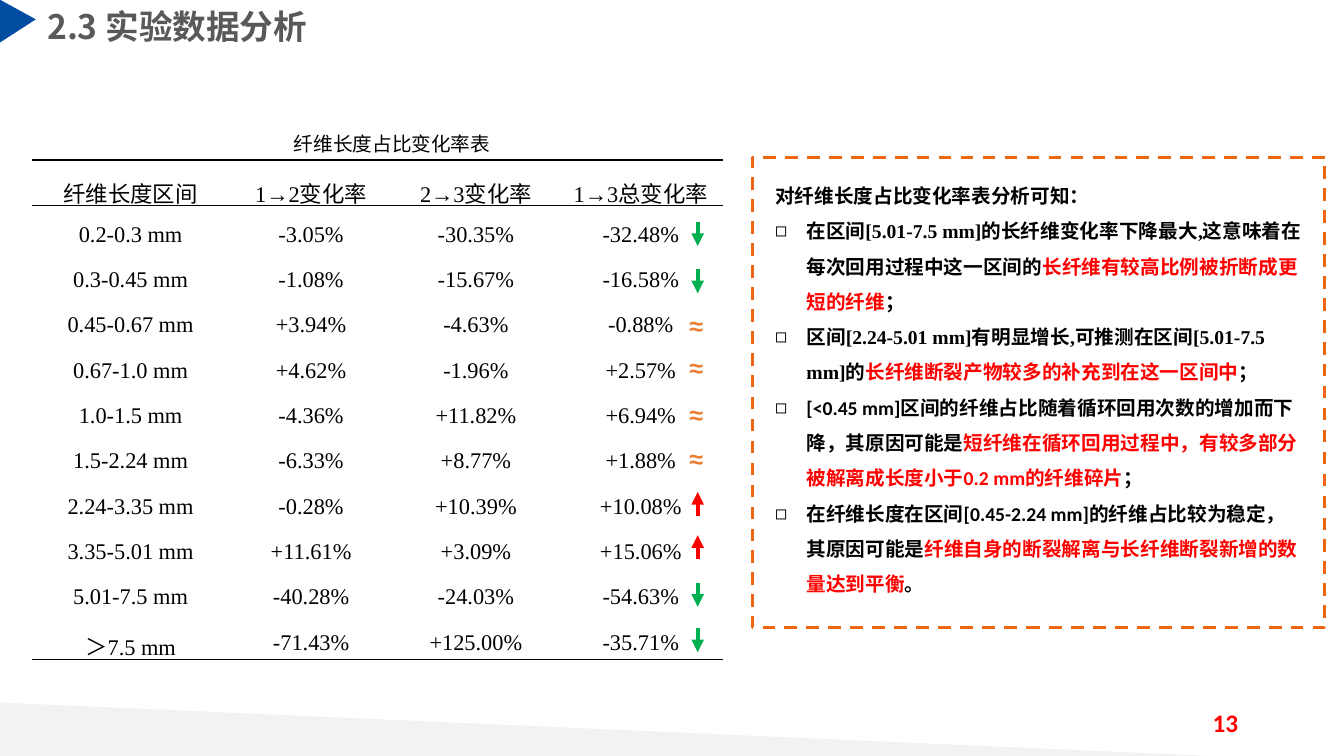
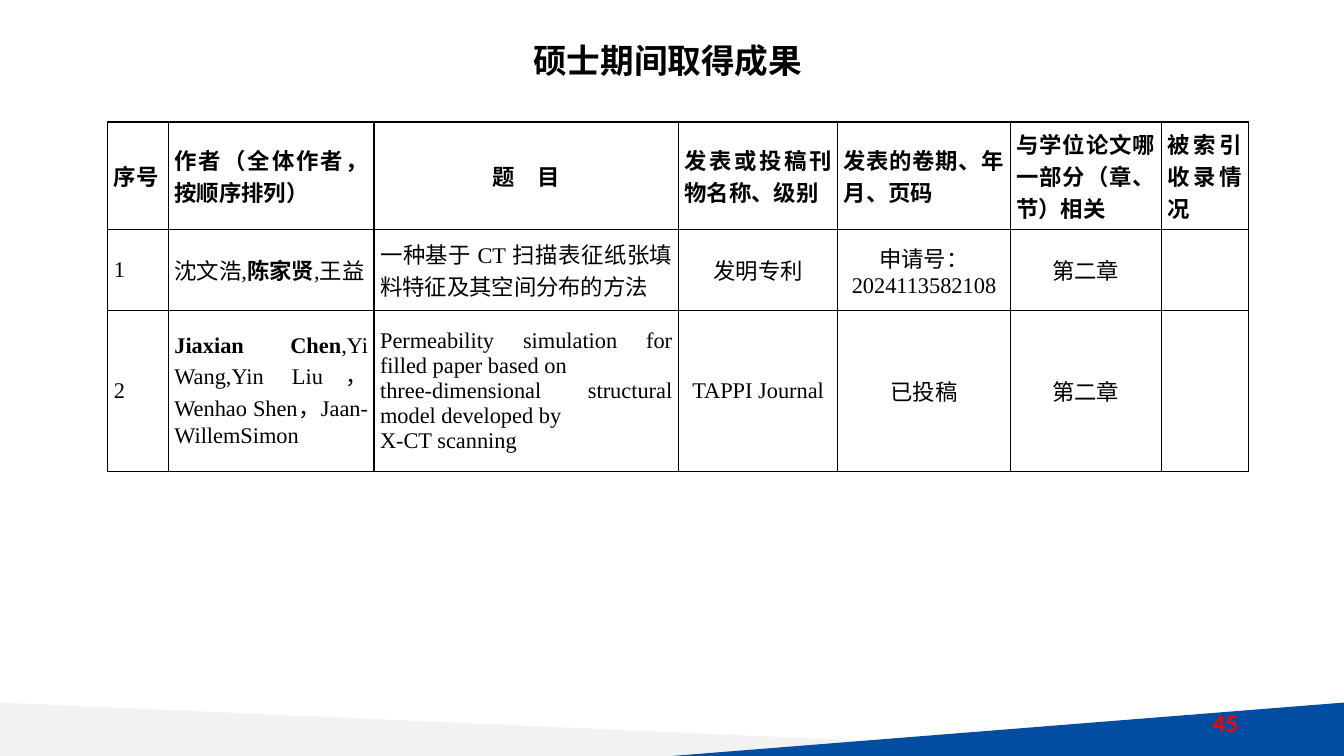
from lxml import etree
from pptx import Presentation
from pptx.dml.color import RGBColor
from pptx.enum.dml import MSO_LINE
from pptx.enum.shapes import MSO_CONNECTOR, MSO_SHAPE
from pptx.enum.text import MSO_ANCHOR, PP_ALIGN
from pptx.oxml.ns import qn
from pptx.util import Pt

PX = 9144  # EMU per px, 100 px to the inch
WIDE, HIGH = 1333, 750

BLACK = RGBColor(0x00, 0x00, 0x00)
INK = RGBColor(0x00, 0x00, 0x08)
GRAY = RGBColor(0x59, 0x59, 0x59)
PALE = RGBColor(0xF2, 0xF2, 0xF2)
BLUE = RGBColor(0x02, 0x4D, 0xA2)
RED = RGBColor(0xFF, 0x00, 0x00)
GREEN = RGBColor(0x00, 0xB0, 0x50)
AMBER = RGBColor(0xED, 0x7D, 0x31)
FRAME = RGBColor(0xED, 0x66, 0x13)

CJK, SERIF, SANS, ARIAL = "Noto Sans CJK SC", "Times New Roman", "Calibri", "Arial"

LEFT, MID = PP_ALIGN.LEFT, PP_ALIGN.CENTER
RIGHT, FULL = PP_ALIGN.RIGHT, PP_ALIGN.JUSTIFY
TOP, CENTER = MSO_ANCHOR.TOP, MSO_ANCHOR.MIDDLE
TRIANGLE, RECT = MSO_SHAPE.ISOSCELES_TRIANGLE, MSO_SHAPE.RECTANGLE
STRAIGHT, DASH = MSO_CONNECTOR.STRAIGHT, MSO_LINE.DASH

RATES = [
    ("纤维长度区间", "1→2变化率", "2→3变化率", "1→3总变化率"),
    ("0.2-0.3 mm", "-3.05%", "-30.35%", "-32.48%"),
    ("0.3-0.45 mm", "-1.08%", "-15.67%", "-16.58%"),
    ("0.45-0.67 mm", "+3.94%", "-4.63%", "-0.88%"),
    ("0.67-1.0 mm", "+4.62%", "-1.96%", "+2.57%"),
    ("1.0-1.5 mm", "-4.36%", "+11.82%", "+6.94%"),
    ("1.5-2.24 mm", "-6.33%", "+8.77%", "+1.88%"),
    ("2.24-3.35 mm", "-0.28%", "+10.39%", "+10.08%"),
    ("3.35-5.01 mm", "+11.61%", "+3.09%", "+15.06%"),
    ("5.01-7.5 mm", "-40.28%", "-24.03%", "-54.63%"),
    ("＞7.5 mm", "-71.43%", "+125.00%", "-35.71%"),
]

# Middle heights of the trend marks beside the rate table
FALLS = (232, 279, 590, 635)
RISES = (500, 543)
STEADY = (323, 365, 411, 455)

# Text between bars is stressed
LEAD = "对纤维长度占比变化率表分析可知："
POINTS = [
    (SERIF, "在区间[5.01-7.5 mm]的长纤维变化率下降最大,这意味着在每次回用过程中"
            "这一区间的|长纤维有较高比例被折断成更短的纤维|；"),
    (SERIF, "区间[2.24-5.01 mm]有明显增长,可推测在区间[5.01-7.5 mm]的"
            "|长纤维断裂产物较多的补充到在这一区间中|；"),
    (SANS, "[<0.45 mm]区间的纤维占比随着循环回用次数的增加而下降，其原因可能是"
           "|短纤维在循环回用过程中，有较多部分被解离成长度小于0.2 mm的纤维碎片|；"),
    (SANS, "在纤维长度在区间[0.45-2.24 mm]的纤维占比较为稳定，其原因可能是"
           "|纤维自身的断裂解离与长纤维断裂新增的数量达到平衡|。"),
]

WORKS = [
    ("序号", "作者（全体作者，按顺序排列）", "题　目", "发表或投稿刊物名称、级别",
     "发表的卷期、年月、页码", "与学位论文哪一部分（章、节）相关", "被索引收录情况"),
    ("1", "沈文浩,|陈家贤|,王益", "一种基于 CT 扫描表征纸张填料特征及其空间分布的方法",
     "发明专利", "申请号：2024113582108", "第二章", ""),
    ("2", "|Jiaxian Chen|,Yi Wang,Yin Liu，Wenhao Shen，Jaan-WillemSimon",
     "Permeability simulation for filled paper based on\n"
     "three-dimensional structural model developed by\nX-CT scanning",
     "TAPPI Journal", "已投稿", "第二章", ""),
]


def px(*sizes):
    return [size * PX for size in sizes]


def sub(node, tag, **attrs):
    return etree.SubElement(node, qn(tag), attrs)


def write(par, text, size, font, color=BLACK, bold=False, align=LEFT,
          space=1.0, hot=None, east=CJK):
    """Fill a paragraph; stressed parts turn to the hot colour, or bold without one."""
    par.alignment, par.line_spacing = align, space
    face = par.font
    face.size, face.name, face.bold = Pt(size), font, bold
    face.color.rgb = color
    sub(par._p.pPr.find(qn("a:defRPr")), "a:ea", typeface=east)
    for i, part in enumerate(text.split("|")):
        if not part:
            continue
        run = par.add_run()
        run.text = part
        if i % 2 and hot:
            run.font.color.rgb = hot
        elif i % 2:
            run.font.bold = True


def bullet(par, char, indent):
    props = par._p.get_or_add_pPr()
    props.set("marL", str(indent * PX))
    props.set("indent", str(-indent * PX))
    sub(props, "a:buFont", typeface=ARIAL)
    sub(props, "a:buChar", char=char)


def frame(slide, box, anchor=TOP):
    body = slide.shapes.add_textbox(*px(*box)).text_frame
    body.word_wrap = True
    body.vertical_anchor = anchor
    return body


def label(slide, box, text, size, font, anchor=TOP, **style):
    write(frame(slide, box, anchor).paragraphs[0], text, size, font, **style)


def title(slide, box, text, color):
    label(slide, box, text, 24, CJK, color=color, bold=True)


def wedge(slide, box, tip, color, turn=0):
    item = slide.shapes.add_shape(TRIANGLE, *px(*box))
    item.shadow.inherit = False
    item.adjustments[0] = tip
    item.rotation = turn
    item.fill.solid()
    item.fill.fore_color.rgb = color
    item.line.fill.background()


def border(slide, box):
    item = slide.shapes.add_shape(RECT, *px(*box))
    item.shadow.inherit = False
    item.fill.background()
    item.line.color.rgb = FRAME
    item.line.width = Pt(2.25)
    item.line.dash_style = DASH


def arrow(slide, x, start, end, color):
    item = slide.shapes.add_connector(STRAIGHT, *px(x, start, x, end))
    item.line.color.rgb = color
    item.line.width = Pt(3)
    sub(item.line._get_or_add_ln(), "a:tailEnd", type="triangle")
    sub(item._element.spPr, "a:effectLst")


def edge(cell, color, **widths):
    """Draw the named sides (L, R, T, B) at widths in points and clear the rest."""
    props = cell._tc.get_or_add_tcPr()
    for side in "LRTB":
        width = widths.get(side, 0)
        line = sub(props, f"a:ln{side}", w=str(Pt(width)))
        if width:
            sub(sub(line, "a:solidFill"), "a:srgbClr", val=str(color))
        else:
            sub(line, "a:noFill")


def grid(slide, spot, cols, rows, data, pad, rule, style):
    """Build a table; rule(row) gives its edges, style(row, col) its text style."""
    box = px(*spot, sum(cols), sum(rows))
    table = slide.shapes.add_table(len(rows), len(cols), *box).table
    table.first_row = table.horz_banding = False
    for col, width in zip(table.columns, cols):
        col.width = width * PX
    for r, (row, height) in enumerate(zip(table.rows, rows)):
        row.height = height * PX
        for c, cell in enumerate(row.cells):
            edge(cell, **rule(r))
            cell.fill.background()
            cell.vertical_anchor = CENTER
            cell.margin_left = cell.margin_right = pad * PX
            cell.margin_top = cell.margin_bottom = 0
            body = cell.text_frame
            for i, text in enumerate(data[r][c].split("\n")):
                par = body.add_paragraph() if i else body.paragraphs[0]
                write(par, text, 16, SERIF, **style(r, c))


def base(deck):
    slide = deck.slides.add_slide(deck.slide_layouts[6])
    wedge(slide, (0, 697, 1200, 53), 0, PALE)
    return slide


def number(slide, text):
    label(slide, (938, 697, 300, 40), text, 18, SANS, CENTER,
          color=RED, bold=True, align=RIGHT)


def rate_rule(row):
    sides = {0: {"T": 1.5, "B": 0.5}, 1: {"T": 0.5}, len(RATES) - 1: {"B": 0.5}}
    return {"color": INK, **sides.get(row, {})}


def rate_style(row, col):
    return {"align": MID, "space": 1.5}


def work_rule(row):
    return {"color": BLACK, **dict.fromkeys("LRTB", 1)}


def work_style(row, col):
    mid = col == 2 if row == 0 else col > 2
    return {"align": MID if mid else FULL, "bold": row == 0}


def trends(slide):
    x, half = 692, 12
    for y in FALLS:
        arrow(slide, x, y - half, y + half, GREEN)
    for y in RISES:
        arrow(slide, x, y + half, y - half, RED)
    for y in STEADY:
        label(slide, (674, y - 20, 47, 40), "≈", 18, ARIAL,
              color=AMBER, bold=True, east=ARIAL)


def findings(slide):
    border(slide, (746, 156, 568, 467))
    body = frame(slide, (759, 166, 545, 277))
    write(body.paragraphs[0], LEAD, 14, SERIF, bold=True, space=1.5)
    for font, text in POINTS:
        par = body.add_paragraph()
        bullet(par, "◻", 31)
        write(par, text, 14, font, bold=True, space=1.5, hot=RED)


def analysis(deck):
    slide = base(deck)
    wedge(slide, (-4, 3, 43, 36), 0.46, BLUE, 90)
    number(slide, "13")
    title(slide, (37, 1, 608, 81), "2.3 实验数据分析", GRAY)
    findings(slide)
    label(slide, (111, 114, 556, 45), "纤维长度占比变化率表", 14, CJK,
          align=MID, space=1.5)
    grid(slide, (32, 159), (195, 163, 164, 163), [45] * len(RATES), RATES, 7,
         rate_rule, rate_style)
    trends(slide)


def results(deck):
    slide = base(deck)
    wedge(slide, (667, 697, 666, 53), 1, BLUE)
    title(slide, (519, 35, 295, 50), "硕士期间取得成果", BLACK)
    number(slide, "45")
    grid(slide, (107, 121), (60, 204, 302, 158, 171, 150, 86), (107, 80, 160),
         WORKS, 6, work_rule, work_style)


def main():
    deck = Presentation()
    deck.slide_width, deck.slide_height = px(WIDE, HIGH)
    analysis(deck)
    results(deck)
    deck.save("out.pptx")


if __name__ == "__main__":
    main()
